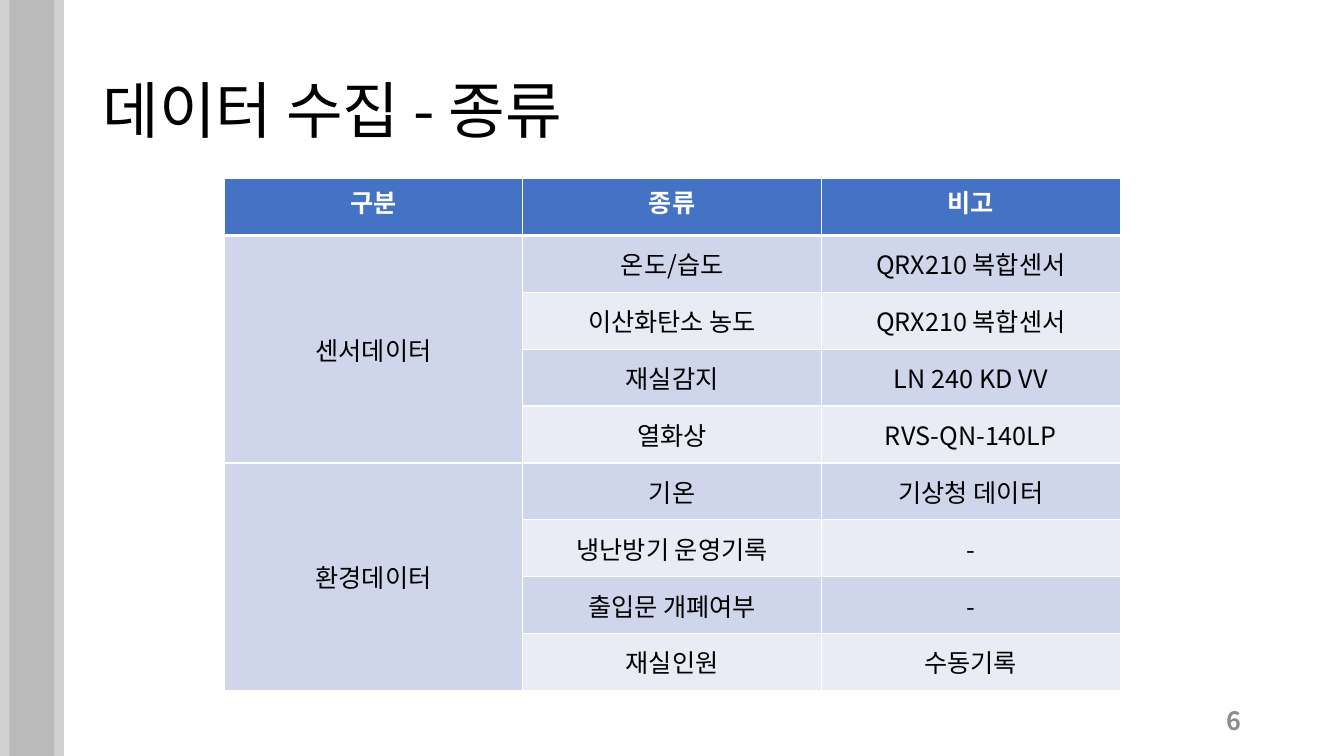
from lxml.etree import SubElement
from pptx import Presentation
from pptx.dml.color import RGBColor
from pptx.enum.shapes import MSO_SHAPE
from pptx.enum.text import MSO_ANCHOR, MSO_AUTO_SIZE, PP_ALIGN
from pptx.oxml import parse_xml
from pptx.oxml.ns import nsdecls, qn
from pptx.util import Cm, Pt

HEADINGS = ["구분", "종류", "비고"]
GROUPS = {
    "센서데이터": [
        ("온도/습도", "QRX210 복합센서"),
        ("이산화탄소 농도", "QRX210 복합센서"),
        ("재실감지", "LN 240 KD VV"),
        ("열화상", "RVS-QN-140LP"),
    ],
    "환경데이터": [
        ("기온", "기상청 데이터"),
        ("냉난방기 운영기록", "-"),
        ("출입문 개폐여부", "-"),
        ("재실인원", "수동기록"),
    ],
}


def color(value):
    return RGBColor.from_string(value)


class SlideBuilder:
    """Adds consistently styled elements to the current slide."""

    font = "Noto Sans CJK KR"
    header = "4472C4"
    bands = ("CFD5EA", "E9EBF5")
    sides = ("lnL", "lnR", "lnT", "lnB")

    def __init__(self, slide):
        self.slide = slide

    def set_text(self, frame, text, ink, align, size=18, bold=False, spacing=1.0):
        frame.text = text
        paragraph = frame.paragraphs[0]
        paragraph.alignment = align
        paragraph.line_spacing = spacing
        run = paragraph.runs[0]
        formats = {"name": self.font, "size": Pt(size), "bold": bold}
        for name, value in formats.items():
            setattr(run.font, name, value)
        run.font.color.rgb = color(ink)
        SubElement(run.font._element, qn("a:ea"), typeface=self.font)

    def title(self, text, left, top, width, height):
        heading = self.slide.shapes.title
        place = {"left": left, "top": top, "width": width, "height": height}
        for name, value in place.items():
            setattr(heading, name, Cm(value))
        frame = heading.text_frame
        frame.auto_size = MSO_AUTO_SIZE.NONE
        frame.vertical_anchor = MSO_ANCHOR.MIDDLE
        self.set_text(frame, text, "000000", PP_ALIGN.LEFT, size=44, spacing=0.9)

    def page_number(self, text, left, top, width, height):
        number = self.slide.shapes.add_textbox(Cm(left), Cm(top), Cm(width), Cm(height))
        frame = number.text_frame
        frame.word_wrap = True
        frame.vertical_anchor = MSO_ANCHOR.MIDDLE
        self.set_text(frame, text, "8C8C8C", PP_ALIGN.RIGHT, bold=True)

    def stripe(self, left, width, height):
        band = self.slide.shapes.add_shape(
            MSO_SHAPE.RECTANGLE, Cm(left), Cm(0), Cm(width), Cm(height))
        band.shadow.inherit = False
        band.fill.solid()
        band.fill.fore_color.rgb = color("A5A5A5")
        band.line.fill.background()
        tint = band._element.spPr.find(f".//{qn('a:srgbClr')}")
        SubElement(tint, qn("a:alpha"), val="50000")

    def cell(self, cell, row, text):
        is_header = row == 0
        cell.fill.solid()
        cell.fill.fore_color.rgb = color(self.header if is_header else self.bands[(row - 1) % 2])
        cell.vertical_anchor = MSO_ANCHOR.TOP if is_header else MSO_ANCHOR.MIDDLE
        thick_side = {0: "lnB", 1: "lnT"}.get(row)
        for position, side in enumerate(self.sides):
            width = Pt(3 if side == thick_side else 1)
            border = parse_xml(
                f'<a:{side} {nsdecls("a")} w="{width}"><a:solidFill>'
                f'<a:srgbClr val="FFFFFF"/></a:solidFill></a:{side}>')
            cell._tc.get_or_add_tcPr().insert(position, border)
        if text:
            ink = "FFFFFF" if is_header else "000000"
            self.set_text(cell.text_frame, text, ink, PP_ALIGN.CENTER, bold=is_header)

    def table(self, headings, groups, left, top, width, height):
        rows = [headings]
        spans = []
        for group, entries in groups.items():
            spans.append((len(rows), len(rows) + len(entries) - 1))
            rows += [(group if index == 0 else "", *entry)
                     for index, entry in enumerate(entries)]
        grid = self.slide.shapes.add_table(
            len(rows), len(headings), Cm(left), Cm(top), Cm(width), Cm(height)).table
        for row, texts in enumerate(rows):
            for column, text in enumerate(texts):
                self.cell(grid.cell(row, column), row, text)
        for first, last in spans:
            grid.cell(first, 0).merge(grid.cell(last, 0))


def main():
    deck = Presentation()
    deck.slide_width, deck.slide_height = Cm(33.87), Cm(19.05)
    builder = SlideBuilder(deck.slides.add_slide(deck.slide_layouts[5]))
    builder.title("데이터 수집 - 종류", 2.33, 1.01, 29.21, 3.68)
    builder.page_number("6", 23.92, 17.65, 7.62, 1.01)
    for left in (0, 0.24):
        builder.stripe(left, 1.37, 19.05)
    builder.table(HEADINGS, GROUPS, 5.65, 4.5, 22.58, 12.9)
    deck.save("out.pptx")


if __name__ == "__main__":
    main()
